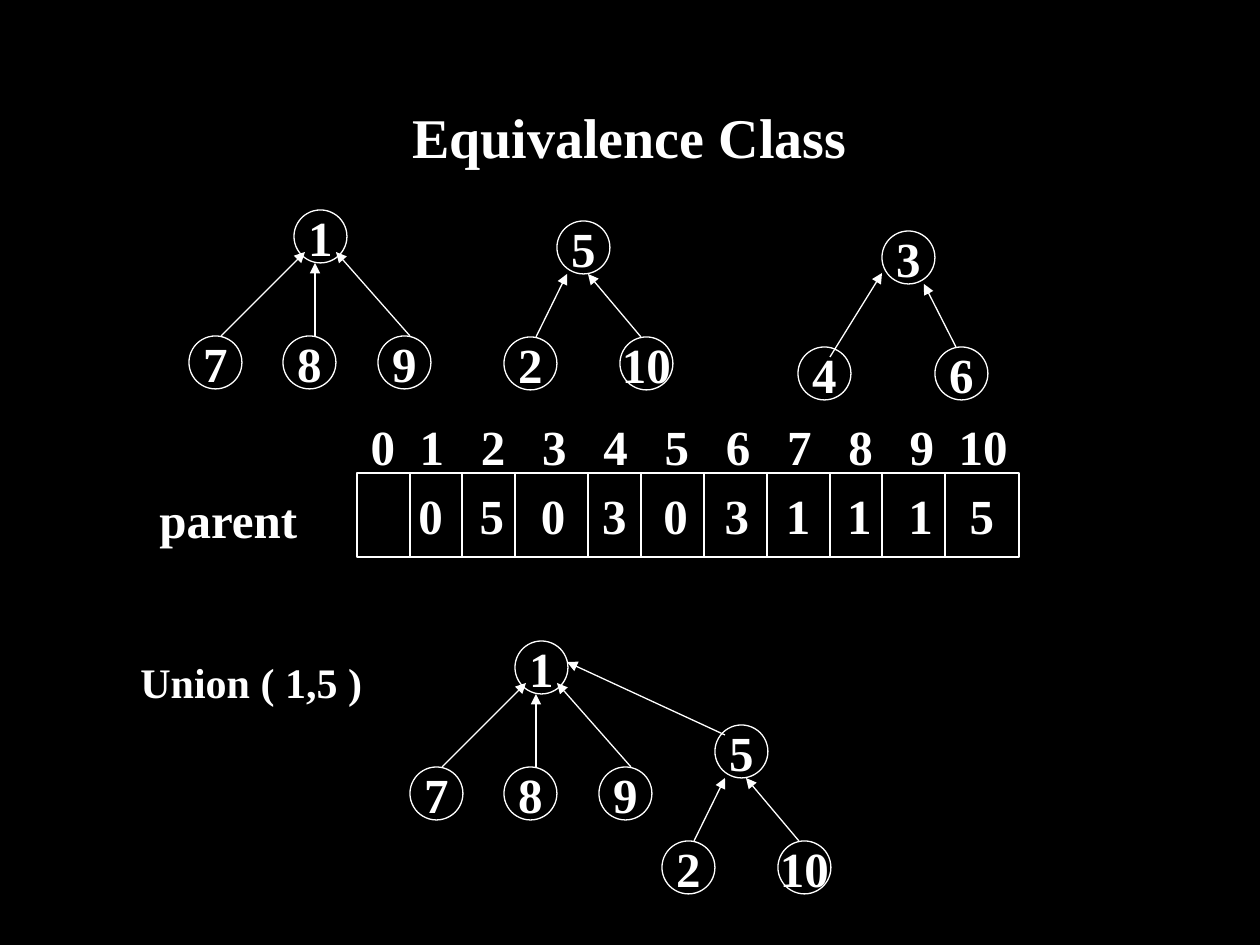
from lxml.etree import SubElement
from pptx import Presentation
from pptx.dml.color import RGBColor
from pptx.enum.shapes import MSO_CONNECTOR, MSO_SHAPE
from pptx.enum.text import MSO_ANCHOR, PP_ALIGN
from pptx.oxml.ns import qn
from pptx.util import Inches, Pt

WHITE = RGBColor(0xFF, 0xFF, 0xFF)
BLACK = RGBColor(0, 0, 0)
FONT = "Times New Roman"
PX = Inches(1) / 126
THIN = Pt(0.74)
NODE = 53

# Each tree has nodes (label, x, y) and arrows (x1, y1, x2, y2) from its corner.
ONE = {
    "nodes": [("1", 105, 0), ("7", 0, 126), ("8", 94, 126), ("9", 189, 126)],
    "arrows": [(32, 126, 116, 42), (126, 126, 126, 53), (221, 126, 147, 42)],
}
FIVE = {
    "nodes": [("5", 53, 0), ("2", 0, 116), ("10", 116, 116)],
    "arrows": [(32, 116, 63, 53), (137, 116, 84, 53)],
}
THREE = {
    "nodes": [("3", 84, 0), ("4", 0, 116), ("6", 137, 116)],
    "arrows": [(32, 126, 84, 42), (158, 116, 126, 53)],
}
TREES = [(ONE, 189, 210), (FIVE, 504, 221), (THREE, 798, 231),
         (ONE, 410, 641), (FIVE, 662, 725)]
UNION = (725, 735, 567, 662)

INDEX = list(range(11))
PARENT = [0, 5, 0, 3, 0, 3, 1, 1, 1, 5]
ARRAY = (357, 473, 662, 84)
SPLITS = [410, 462, 515, 588, 641, 704, 767, 830, 882, 945]
STEP = 61.25
VALUE_TABS = [STEP * (i + 1) for i in range(len(PARENT))]
INDEX_TABS = [24.5] + [73.5 + STEP * i for i in range(len(INDEX) - 1)]


def emu(*nums):
    """Turn pixels into EMU."""
    return [round(n * PX) for n in nums]


def write(shape, text, size=28, align=PP_ALIGN.LEFT, anchor=MSO_ANCHOR.TOP,
          wrap=True, tabs=()):
    """Put formatted text into a shape, with centred tab stops if given."""
    frame = shape.text_frame
    frame.word_wrap = wrap
    frame.vertical_anchor = anchor
    para = frame.paragraphs[0]
    para.alignment = align
    run = para.add_run()
    run.text = text
    font = run.font
    font.name, font.size, font.bold = FONT, Pt(size), True
    font.color.rgb = WHITE
    if tabs:
        stops = SubElement(para._p.get_or_add_pPr(), qn("a:tabLst"))
        for pos in emu(*tabs):
            SubElement(stops, qn("a:tab"), pos=str(pos), algn="ctr")


def label(slide, text, box, **form):
    """Add a text box."""
    write(slide.shapes.add_textbox(*emu(*box)), text, **form)


def outline(slide, kind, box, text, **form):
    """Add an unfilled shape with a thin white line and text."""
    shape = slide.shapes.add_shape(kind, *emu(*box))
    shape.shadow.inherit = False
    shape.fill.background()
    shape.line.color.rgb = WHITE
    shape.line.width = THIN
    write(shape, text, anchor=MSO_ANCHOR.MIDDLE, **form)


def link(slide, ends, arrow=False):
    """Draw a thin white line, with an arrowhead at its end if asked."""
    line = slide.shapes.add_connector(MSO_CONNECTOR.STRAIGHT, *emu(*ends))
    line.line.color.rgb = WHITE
    line.line.width = THIN
    if arrow:
        SubElement(line.line._get_or_add_ln(), qn("a:tailEnd"), type="triangle")
    SubElement(line._element.spPr, qn("a:effectLst"))


def plant(slide, tree, left, top):
    """Draw a tree with its corner at the given place."""
    for name, x, y in tree["nodes"]:
        outline(slide, MSO_SHAPE.OVAL, (left + x, top + y, NODE, NODE), name,
                align=PP_ALIGN.CENTER, wrap=False)
    for x1, y1, x2, y2 in tree["arrows"]:
        link(slide, (left + x1, top + y1, left + x2, top + y2), arrow=True)


def tabbed(items):
    """Join items so that each one follows a tab."""
    return "".join(f"\t{item}" for item in items)


def main():
    """Build the slide and save it."""
    deck = Presentation()
    deck.slide_width, deck.slide_height = emu(1260, 945)
    slide = deck.slides.add_slide(deck.slide_layouts[5])
    slide.background.fill.solid()
    slide.background.fill.fore_color.rgb = BLACK

    title = slide.shapes.title
    title.left, title.top, title.width, title.height = emu(94, 84, 1071, 105)
    write(title, "Equivalence Class", size=32, align=PP_ALIGN.CENTER,
          anchor=MSO_ANCHOR.MIDDLE)

    outline(slide, MSO_SHAPE.RECTANGLE, ARRAY, tabbed(PARENT), tabs=VALUE_TABS)
    top, base = ARRAY[1], ARRAY[1] + ARRAY[3]
    for x in SPLITS:
        link(slide, (x, top, x, base))
    label(slide, "parent", (147, 483, 210, 72))
    label(slide, tabbed(INDEX), (346, 410, 703, 72), tabs=INDEX_TABS)

    for tree, left, top in TREES:
        plant(slide, tree, left, top)
    link(slide, UNION, arrow=True)
    label(slide, "Union ( 1,5 )", (128, 650, 599, 63), size=24)
    deck.save("out.pptx")


main()
